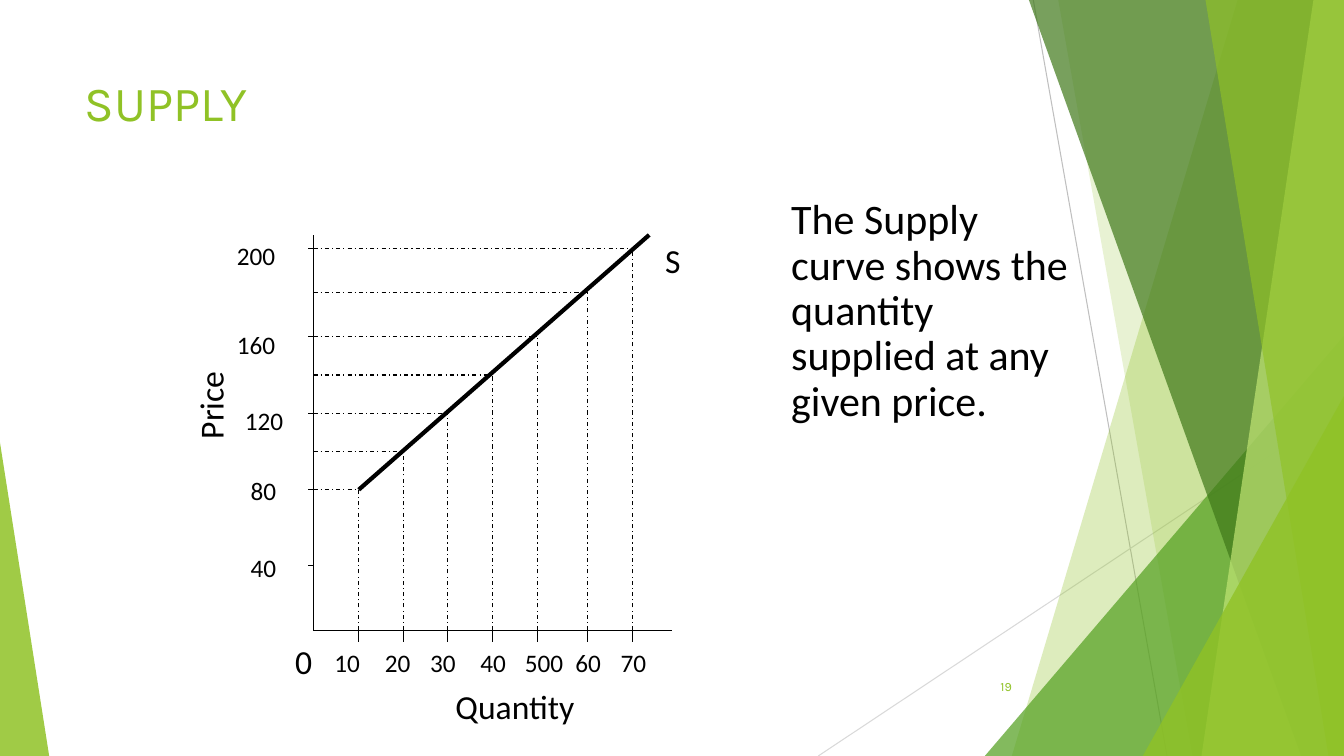
from lxml import etree
from pptx import Presentation
from pptx.dml.color import RGBColor
from pptx.enum.dml import MSO_LINE
from pptx.enum.shapes import MSO_CONNECTOR, MSO_SHAPE
from pptx.enum.text import MSO_ANCHOR, MSO_AUTO_SIZE, PP_ALIGN
from pptx.oxml.ns import qn
from pptx.util import Cm, Pt

SLIDE_WIDTH, SLIDE_HEIGHT = 33.87, 19.05
BLACK = RGBColor(0x00, 0x00, 0x00)
LIME = RGBColor(0x90, 0xC2, 0x26)
GREEN = RGBColor(0x54, 0xA0, 0x21)
DARK_GREEN = RGBColor(0x3F, 0x78, 0x19)
PALE_LIME = RGBColor(0xC0, 0xE4, 0x74)
GREY = RGBColor(0xBF, 0xBF, 0xBF)
LIGHT_GREY = RGBColor(0xD9, 0xD9, 0xD9)

# Quantity tick x, supplied price y, label, label x (cm from the chart's top left)
QUANTITIES = [
    (1.14, 6.42, "10", 0.28),
    (2.26, 5.46, "20", 1.55),
    (3.38, 4.49, "30", 2.69),
    (4.52, 3.53, "40", 3.96),
    (5.64, 2.56, "500", 5.08),
    (6.91, 1.45, "60", 6.35),
    (8.05, 0.33, "70", 7.49),
]
# Price tick y, label, label x, label y
PRICES = [
    (8.33, "40", -1.83, 7.87),
    (6.42, "80", -1.83, 5.94),
    (4.49, "120", -1.98, 4.16),
    (2.56, "160", -2.18, 2.26),
    (0.33, "200", -2.18, 0),
]


def style_text(text_frame, text, size, font_name="Calibri", color=BLACK):
    text_frame.text = text
    text_frame.word_wrap = True
    font = text_frame.paragraphs[0].runs[0].font
    font.name, font.size, font.color.rgb = font_name, Pt(size), color


def add_text(slide, box, text, size, **font):
    shape = slide.shapes.add_textbox(*(Cm(length) for length in box))
    style_text(shape.text_frame, text, size, **font)
    return shape


def add_line(slide, start, end, color=BLACK, width=0.75, dash=None):
    points = (Cm(length) for length in (*start, *end))
    connector = slide.shapes.add_connector(MSO_CONNECTOR.STRAIGHT, *points)
    connector.line.color.rgb = color
    connector.line.width = Pt(width)
    if dash:
        connector.line.dash_style = dash
    etree.SubElement(connector._element.spPr, qn("a:effectLst"))


def fill_shape(shape, color, opacity):
    shape.shadow.inherit = False
    shape.line.fill.background()
    shape.fill.solid()
    shape.fill.fore_color.rgb = color
    color_element = shape._element.spPr.find(qn("a:solidFill"))[0]
    etree.SubElement(color_element, qn("a:alpha"), val=str(opacity * 1000))


def add_decoration(slide, width, height):
    def add_band(top_x, bottom_x, color, opacity):
        builder = slide.shapes.build_freeform(Cm(top_x), 0)
        corners = [(width, 0), (width, height), (bottom_x, height)]
        builder.add_line_segments([(Cm(x), Cm(y)) for x, y in corners])
        fill_shape(builder.convert_to_shape(), color, opacity)

    def add_triangle(left, right, top, peak, color, opacity):
        shape = slide.shapes.add_shape(
            MSO_SHAPE.ISOSCELES_TRIANGLE,
            Cm(left), Cm(top), Cm(right - left), Cm(height - top))
        shape.adjustments[0] = peak
        fill_shape(shape, color, opacity)

    add_line(slide, (26.04, 0), (29.41, height), GREY)
    add_line(slide, (width, 10.24), (20.62, height), LIGHT_GREY)
    add_band(31.19, 25.5, LIME, 30)
    add_band(26.67, 30.05, LIME, 20)
    add_triangle(24.82, width, 8.46, 1, GREEN, 72)
    add_band(25.93, 32.79, DARK_GREEN, 70)
    add_band(33.1, 30.28, PALE_LIME, 70)
    add_band(30.38, 33.48, LIME, 65)
    add_triangle(28.8, width, 9.98, 1, LIME, 80)
    add_triangle(0, 1.24, 11.15, 0, LIME, 85)


def add_title(slide, box, text):
    title = slide.shapes.title
    title.left, title.top, title.width, title.height = (Cm(length) for length in box)
    style_text(title.text_frame, text, 35, font_name="Karla", color=LIME)
    title.text_frame.auto_size = MSO_AUTO_SIZE.NONE
    title.text_frame.vertical_anchor = MSO_ANCHOR.TOP
    title.text_frame.paragraphs[0].alignment = PP_ALIGN.LEFT


def add_slide_number(slide, box, number):
    shape = add_text(slide, box, number, 9, font_name="Karla", color=LIME)
    shape.text_frame.vertical_anchor = MSO_ANCHOR.MIDDLE
    shape.text_frame.paragraphs[0].alignment = PP_ALIGN.RIGHT


def add_explanation(slide, box, text):
    shape = add_text(slide, box, text, 30)
    shape.text_frame.paragraphs[0].line_spacing = 0.9


def add_supply_diagram(slide, left, top, width, height):
    def line(x1, y1, x2, y2, **style):
        add_line(slide, (left + x1, top + y1), (left + x2, top + y2), **style)

    def label(x, y, label_width, label_height, text, size):
        box = (left + x, top + y, label_width, label_height)
        return add_text(slide, box, text, size)

    # Axes
    line(0, height, width, height)
    line(0, height, 0, 0)

    # Price ticks and labels
    for tick_y, text, label_x, label_y in PRICES:
        line(-0.13, tick_y, 0, tick_y)
        label(label_x, label_y, 1.7, 1.02, text, 18)

    # Quantity ticks, labels and guide lines
    for x, price_y, text, label_x in QUANTITIES:
        line(x, height, x, height + 0.3)
        label(label_x, height + 0.3, 1.55, 1.02, text, 18)
        line(0, price_y, x, price_y, dash=MSO_LINE.DASH_DOT)
        line(x, height, x, price_y, dash=MSO_LINE.DASH_DOT)

    # Supply curve
    line(1.14, 6.42, 8.46, 0, width=3)
    label(8.61, 0, 1.55, 1.27, "S", 24)

    # Axis names and origin
    price_name = label(-5.18, 2.51, 5.16, 1.27, "Price", 24)
    price_name.rotation = 270
    price_name.text_frame.margin_left = Cm(0.58)
    label(-0.71, height + 0.15, 0.99, 1.27, "0", 24)
    label(3.33, height + 1.27, 6.27, 1.3, "Quantity", 24)


def main():
    presentation = Presentation()
    presentation.slide_width = Cm(SLIDE_WIDTH)
    presentation.slide_height = Cm(SLIDE_HEIGHT)
    slide = presentation.slides.add_slide(presentation.slide_layouts[5])

    add_decoration(slide, SLIDE_WIDTH, SLIDE_HEIGHT)
    add_title(slide, (1.88, 1.7, 23.88, 3.66), "SUPPLY")
    add_slide_number(slide, (23.85, 16.79, 1.9, 1.02), "19")
    add_explanation(
        slide, (19.69, 4.88, 7.62, 6.02),
        "The Supply curve shows the quantity supplied at any given price.")
    add_supply_diagram(slide, 7.9, 5.92, 9.04, 9.96)
    presentation.save("out.pptx")


if __name__ == "__main__":
    main()
